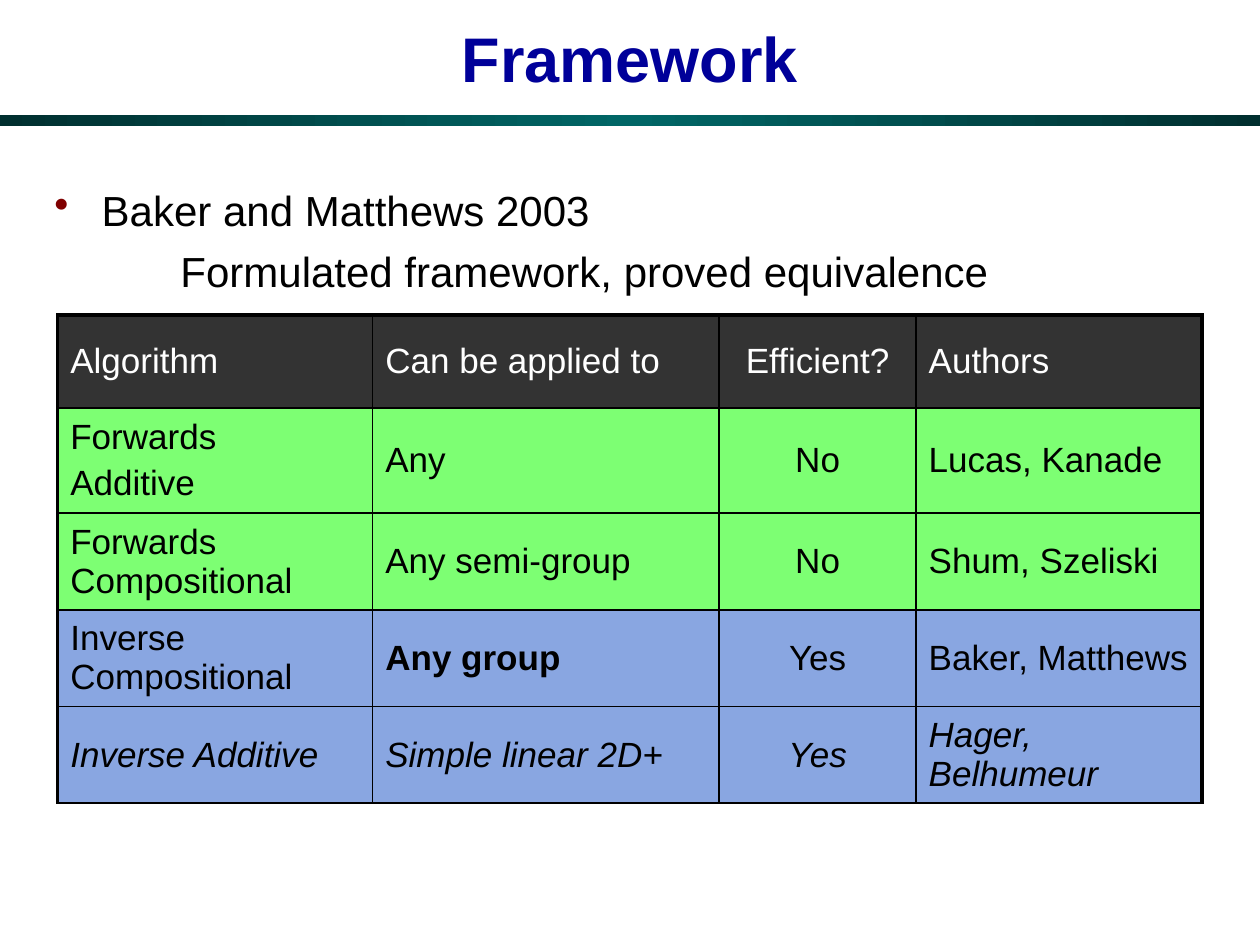
from copy import deepcopy

from lxml import etree
from pptx import Presentation
from pptx.dml.color import RGBColor
from pptx.enum.shapes import MSO_SHAPE
from pptx.enum.text import MSO_ANCHOR, PP_ALIGN
from pptx.oxml.ns import qn
from pptx.util import Pt

RECTANGLE = MSO_SHAPE.RECTANGLE
LEFT, CENTER = PP_ALIGN.LEFT, PP_ALIGN.CENTER
TOP, MIDDLE = MSO_ANCHOR.TOP, MSO_ANCHOR.MIDDLE

FONT = "Arial"
COLORS = {
    "title": "000099",
    "text": "000000",
    "bullet": "800000",
    "band edge": "002F2F",
    "band centre": "006666",
    "header": "333333",
    "header text": "FFFFFF",
    "forwards": "7DFF73",
    "inverse": "89A6E1",
    "border": "000000",
}

COLUMN_WIDTHS = [180, 198, 112.5, 163.5]
ROW_HEIGHTS = [53.25, 60, 55.25, 55.25, 55.25]
EFFICIENT_COLUMN = 2
OUTER_LINE, INNER_LINE = 2.25, 1

# Fill name and cell texts; a line break starts a new paragraph
ROWS = [
    ("header", ["Algorithm", "Can be applied to", "Efficient?", "Authors"]),
    ("forwards", ["Forwards\nAdditive", "Any", "No", "Lucas, Kanade"]),
    ("forwards", ["Forwards Compositional", "Any semi-group", "No", "Shum, Szeliski"]),
    ("inverse", ["Inverse Compositional", "Any group", "Yes", "Baker, Matthews"]),
    ("inverse", ["Inverse Additive", "Simple linear 2D+", "Yes", "Hager, Belhumeur"]),
]
BOLD_CELL = (3, 1)
ITALIC_ROW = 4


def color(name):
    return RGBColor.from_string(COLORS[name])


def add_span(para, text, size, color_name, bold=False, italic=False):
    span = para.add_run()
    span.text = text
    span.font.name = FONT
    span.font.size = Pt(size)
    span.font.bold = bold
    span.font.italic = italic
    span.font.color.rgb = color(color_name)


def add_text_box(page, left, top, width, height, anchor):
    box = page.shapes.add_textbox(Pt(left), Pt(top), Pt(width), Pt(height))
    box.text_frame.word_wrap = True
    box.text_frame.vertical_anchor = anchor
    return box.text_frame


def set_indent(para, left, first_line):
    properties = para._p.get_or_add_pPr()
    properties.set("marL", str(Pt(left)))
    properties.set("indent", str(Pt(first_line)))
    return properties


def add_bullet(para, indent):
    properties = set_indent(para, indent, -indent)
    bullet_color = etree.SubElement(properties, qn("a:buClr"))
    etree.SubElement(bullet_color, qn("a:srgbClr"), val=COLORS["bullet"])
    etree.SubElement(properties, qn("a:buChar"), char="•")


def add_gradient_band(page, left, top, width, height):
    band = page.shapes.add_shape(RECTANGLE, Pt(left), Pt(top), Pt(width), Pt(height))
    band.shadow.inherit = False
    band.line.fill.background()
    band.fill.gradient()
    band.fill.gradient_angle = 0
    stop_list = band._element.spPr.find(".//" + qn("a:gsLst"))
    stop_list.append(deepcopy(stop_list[0]))
    names = ["band edge", "band centre", "band edge"]
    for index, (stop, name) in enumerate(zip(band.fill.gradient_stops, names)):
        stop.position = index / 2
        stop.color.rgb = color(name)


def set_borders(cell, widths):
    properties = cell._tc.get_or_add_tcPr()
    for index, (side, width) in enumerate(widths.items()):
        line = etree.Element(qn("a:ln" + side), w=str(Pt(width)))
        fill = etree.SubElement(line, qn("a:solidFill"))
        etree.SubElement(fill, qn("a:srgbClr"), val=COLORS["border"])
        properties.insert(index, line)


def fill_cell(cell, text, fill_name, row, column):
    cell.fill.solid()
    cell.fill.fore_color.rgb = color(fill_name)
    cell.vertical_anchor = MIDDLE
    text_color = "header text" if fill_name == "header" else "text"
    for index, line in enumerate(text.split("\n")):
        para = cell.text_frame.paragraphs[0]
        if index:
            para = cell.text_frame.add_paragraph()
            para.space_before = Pt(4)
        para.alignment = CENTER if column == EFFICIENT_COLUMN else LEFT
        add_span(para, line, 20, text_color,
                 bold=(row, column) == BOLD_CELL, italic=row == ITALIC_ROW)
    last_column = len(COLUMN_WIDTHS) - 1
    set_borders(cell, {
        "L": OUTER_LINE if column == 0 else INNER_LINE,
        "R": OUTER_LINE if column == last_column else INNER_LINE,
        "T": OUTER_LINE if row == 0 else INNER_LINE,
        "B": INNER_LINE,
    })


def add_algorithm_table(page, left, top):
    frame = page.shapes.add_table(
        len(ROWS), len(COLUMN_WIDTHS), Pt(left), Pt(top),
        Pt(sum(COLUMN_WIDTHS)), Pt(sum(ROW_HEIGHTS)))
    table = frame.table
    for column, width in zip(table.columns, COLUMN_WIDTHS):
        column.width = Pt(width)
    for row, height in zip(table.rows, ROW_HEIGHTS):
        row.height = Pt(height)
    for row, (fill_name, texts) in enumerate(ROWS):
        for column, text in enumerate(texts):
            fill_cell(table.cell(row, column), text, fill_name, row, column)


def main():
    deck = Presentation()
    deck.slide_width, deck.slide_height = Pt(720), Pt(540)
    page = deck.slides.add_slide(deck.slide_layouts[6])

    # Title and the band under it
    add_gradient_band(page, 0, 66, 720, 6)
    title = add_text_box(page, 0, 0, 720, 66, MIDDLE).paragraphs[0]
    title.alignment = CENTER
    add_span(title, "Framework", 36, "title", bold=True)

    # Body text
    body = add_text_box(page, 24, 102, 672, 402, TOP)
    source = body.paragraphs[0]
    add_bullet(source, 27)
    add_span(source, "Baker and Matthews 2003", 24, "text")
    result = body.add_paragraph()
    set_indent(result, 72, 0)
    result.space_before = Pt(6)
    add_span(result, "Formulated framework, proved equivalence", 24, "text")

    # Comparison of the algorithms
    add_algorithm_table(page, 33, 180)

    deck.save("out.pptx")


if __name__ == "__main__":
    main()
